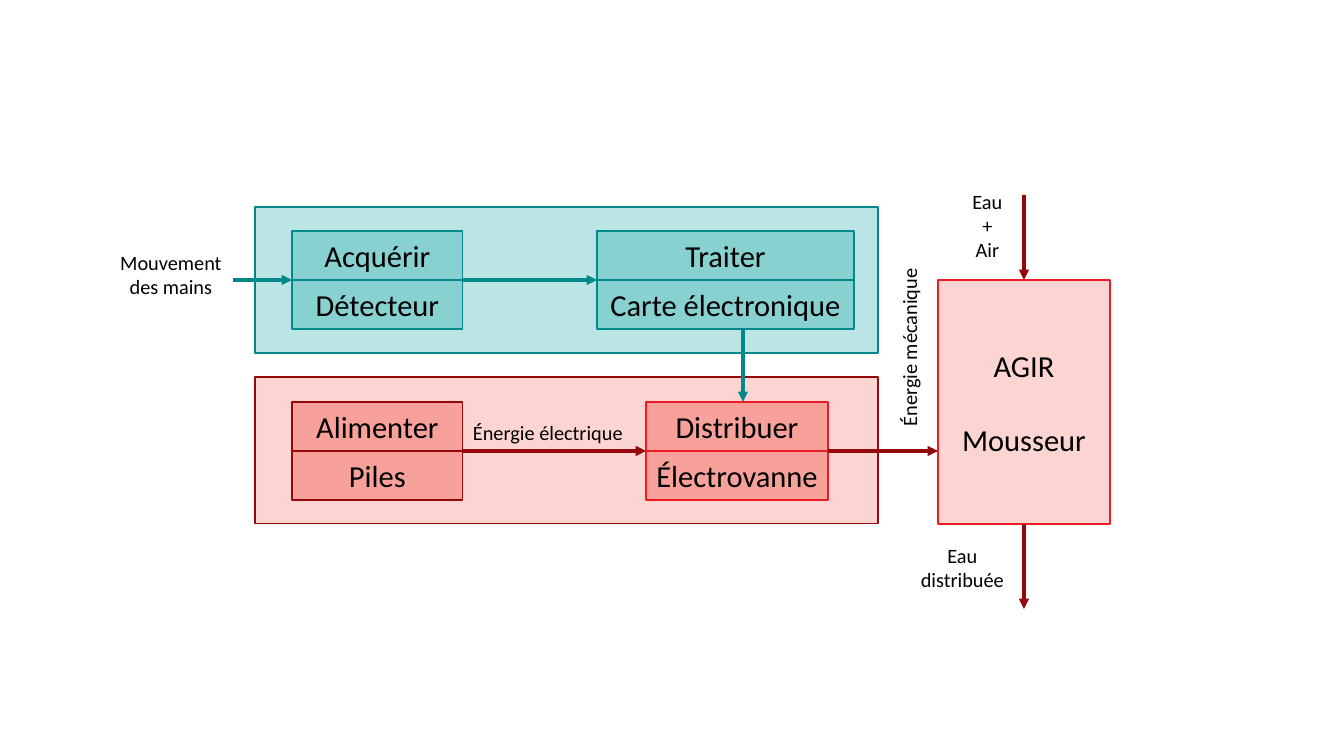
from pptx import Presentation
from pptx.dml.color import RGBColor
from pptx.enum.shapes import MSO_CONNECTOR, MSO_SHAPE
from pptx.enum.text import MSO_ANCHOR, PP_ALIGN
from pptx.oxml.ns import qn
from pptx.util import Emu, Pt
from lxml.etree import SubElement

PX = 914400 / 122
SLIDE_SIZE = (1344, 756)
FONT = "Calibri"
COLORS = {
    "text": "000000", "white": "FFFFFF",
    "teal": "00888A", "teal pale": "BCE4E5", "teal mid": "87D1D1",
    "dark red": "94070A", "red": "ED1C24",
    "red pale": "FCD4D1", "red mid": "F7A19A",
}

# Content: chains as (left, top, width, height), fill, line
CHAINS = [
    ((255, 207, 623, 146), "teal pale", "teal"),
    ((255, 377, 623, 147), "red pale", "dark red"),
]
# Blocks as function, component, left, top, width, fill, line
ROW_HEIGHT = 49
BLOCKS = [
    ("Acquérir", "Détecteur", 292, 231, 171, "teal mid", "teal"),
    ("Traiter", "Carte électronique", 597, 231, 257, "teal mid", "teal"),
    ("Alimenter", "Piles", 292, 402, 171, "red mid", "dark red"),
    ("Distribuer", "Électrovanne", 646, 402, 182, "red mid", "red"),
]
ACTION = (["AGIR", "Mousseur"], (938, 280, 172, 244))
# Labels as lines, box, fill, rotation
MECHANICAL = (["Énergie mécanique"], (793, 329, 232, 37), "white", 270)
LABELS = [
    (["Mouvement", "des mains"], (110, 244, 122, 61), "white", 0),
    (["Énergie électrique"], (487, 402, 122, 61), "red pale", 0),
    (["Eau", "+", "Air"], (963, 195, 49, 61), "white", 0),
    (["Eau", "distribuée"], (938, 537, 49, 61), "white", 0),
]
# Flows as start, end, color; those before the labels lie beneath them
INPUT_FLOW = ((159, 280), (292, 280), "teal")
FLOWS = [
    ((463, 280), (597, 280), "teal"),
    ((743, 329), (743, 402), "teal"),
    ((463, 451), (646, 451), "dark red"),
    ((828, 451), (938, 451), "dark red"),
]
WATER_IN = ((1024, 195), (1024, 280), "dark red")
WATER_OUT = ((1024, 524), (1024, 609), "dark red")


def px(value):
    return Emu(round(value * PX))


def rgb(name):
    return RGBColor.from_string(COLORS[name])


def add_box(box, fill, line, lines=(), size=18, gap=0):
    rect = slide.shapes.add_shape(MSO_SHAPE.RECTANGLE, *map(px, box))
    rect.shadow.inherit = False
    rect.fill.solid()
    rect.fill.fore_color.rgb = rgb(fill)
    rect.line.color.rgb = rgb(line)
    rect.line.width = 0
    frame = rect.text_frame
    frame.word_wrap = False
    frame.vertical_anchor = MSO_ANCHOR.MIDDLE
    for i, words in enumerate(lines):
        paragraph = frame.paragraphs[0] if i == 0 else frame.add_paragraph()
        paragraph.alignment = PP_ALIGN.CENTER
        if i and gap:
            paragraph.space_before = Pt(gap)
        run = paragraph.add_run()
        run.text = words
        run.font.name = FONT
        run.font.size = Pt(size)
        run.font.color.rgb = rgb("text")
    return rect


def add_label(lines, box, fill, rotation):
    add_box(box, fill, fill, lines, size=12).rotation = rotation


def add_flow(start, end, color):
    arrow = slide.shapes.add_connector(
        MSO_CONNECTOR.STRAIGHT, *map(px, start + end))
    arrow.line.color.rgb = rgb(color)
    arrow.line.width = 0
    properties = arrow.line._get_or_add_ln()
    SubElement(properties, qn("a:tailEnd"), type="triangle")
    SubElement(properties.getparent(), qn("a:effectLst"))
    return arrow


prs = Presentation()
prs.slide_width, prs.slide_height = map(px, SLIDE_SIZE)
slide = prs.slides.add_slide(prs.slide_layouts[6])

# Chains and their blocks
add_label(*MECHANICAL)
for box, fill, line in CHAINS:
    add_box(box, fill, line)
for function, component, left, top, width, fill, line in BLOCKS:
    for row, words in enumerate((function, component)):
        add_box((left, top + row * ROW_HEIGHT, width, ROW_HEIGHT),
                fill, line, [words])
action_lines, action_box = ACTION
action = add_box(action_box, "red pale", "red", action_lines, gap=22)

# Labels and flows
add_flow(*INPUT_FLOW)
for label in LABELS:
    add_label(*label)
for flow in FLOWS:
    add_flow(*flow)
add_flow(*WATER_IN).end_connect(action, 0)
add_flow(*WATER_OUT).begin_connect(action, 2)

prs.save("out.pptx")
